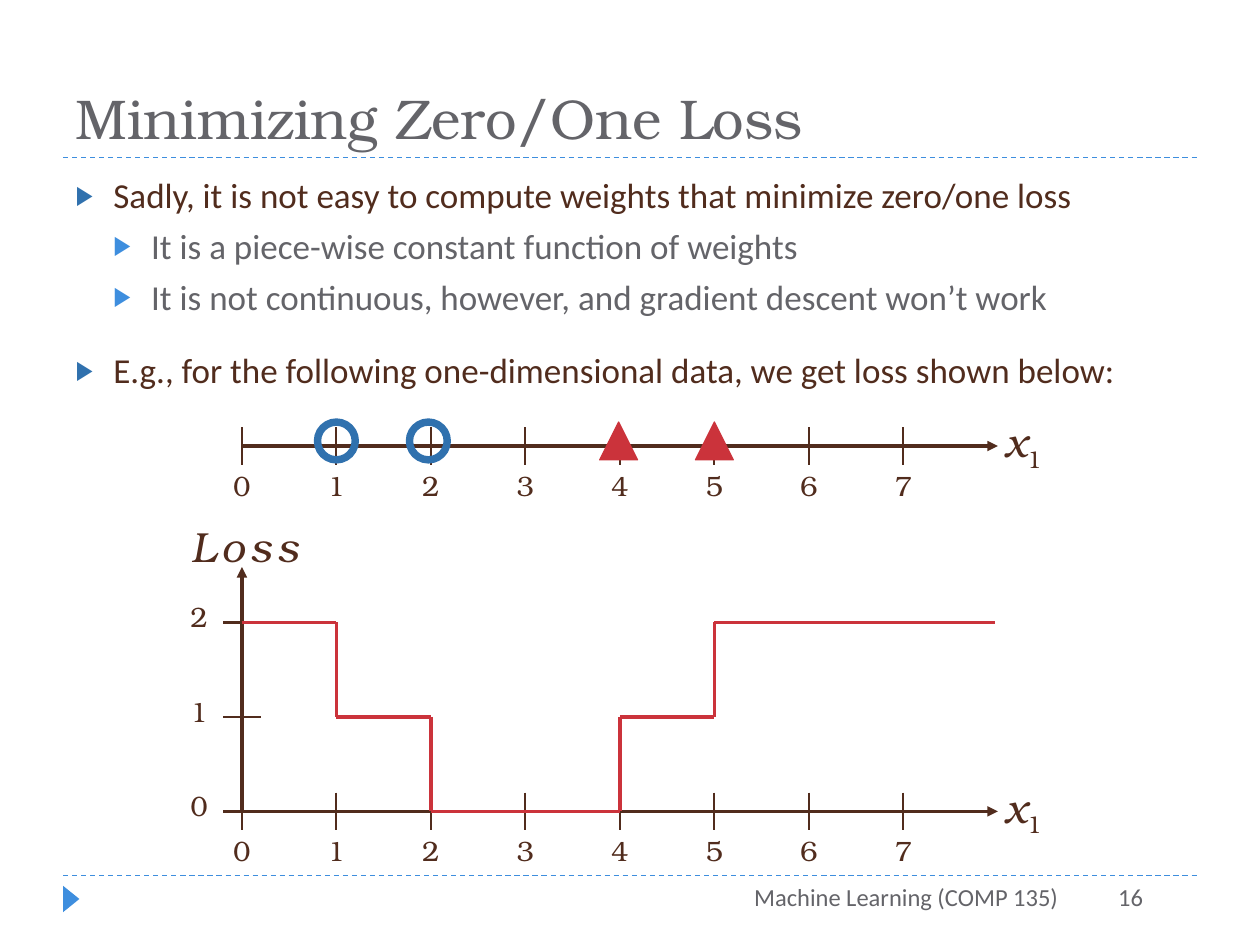
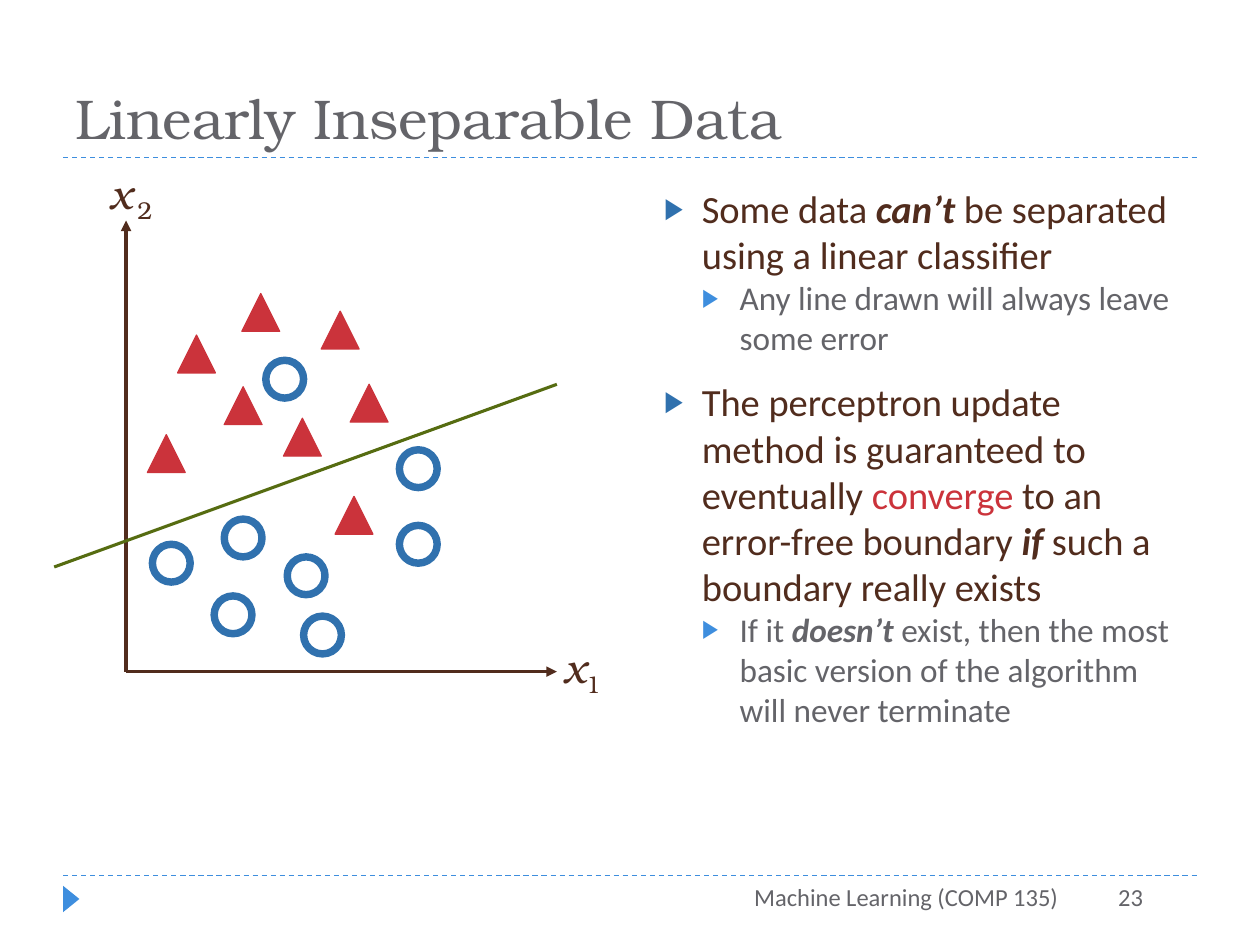
from dataclasses import dataclass

from lxml import etree
from pptx import Presentation
from pptx import util as u
from pptx.dml.color import RGBColor
from pptx.enum import dml, shapes, text
from pptx.oxml.ns import qn


@dataclass(frozen=True)
class Theme:
    ink: str = "512C1D"
    gray: str = "646469"
    blue: str = "3071AE"
    sky: str = "3E8EDE"
    red: str = "CB333B"
    green: str = "566C11"
    serif: str = "TeX Gyre Bonum"
    sans: str = "Calibri"
    title_size: int = 32
    axis_size: int = 24
    tick_size: int = 16
    footer_size: int = 14
    axis_width: float = 2
    tick_width: float = 1.25


THEME = Theme()
EMPHASIS = {"bold": True, "italic": True}
UNIT = 0.75  # inches per axis unit
ORIGIN_X = 1.92
AXIS_LENGTH = 6
TICK = 0.15  # half length of a tick
MARKER = 0.3


def color(value):
    return RGBColor.from_string(value)


def add_run(paragraph, content, *, size, font=THEME.sans, fill=THEME.ink,
            bold=False, italic=False, spacing=None, baseline=None):
    """Add formatted text; spacing is in points, baseline in percent."""
    run = paragraph.add_run()
    run.text = content
    run.font.name = font
    run.font.size = u.Pt(size)
    run.font.color.rgb = color(fill)
    run.font.bold = bold
    run.font.italic = italic
    properties = run._r.get_or_add_rPr()
    if spacing:
        properties.set("spc", str(spacing * 100))
    if baseline:
        properties.set("baseline", str(baseline * 1000))


def place(shape, left, top, width, height):
    shape.left, shape.top = u.Inches(left), u.Inches(top)
    shape.width, shape.height = u.Inches(width), u.Inches(height)


def add_text_box(slide, box, align=text.PP_ALIGN.CENTER):
    """Add an empty wrapping text box and return its paragraph."""
    frame = slide.shapes.add_textbox(*map(u.Inches, box)).text_frame
    frame.word_wrap = True
    frame.paragraphs[0].alignment = align
    return frame.paragraphs[0]


def add_line(slide, start, end, line_color, width, arrow=False, dashed=False):
    connector = slide.shapes.add_connector(
        shapes.MSO_CONNECTOR.STRAIGHT, *map(u.Inches, (*start, *end)))
    connector.line.color.rgb = color(line_color)
    connector.line.width = u.Pt(width)
    if dashed:
        connector.line.dash_style = dml.MSO_LINE.DASH
    if arrow:
        etree.SubElement(connector.line._get_or_add_ln(), qn("a:tailEnd"), type="triangle")
    etree.SubElement(connector._element.spPr, qn("a:effectLst"))


def add_triangle(slide, left, top, width=MARKER, height=MARKER, fill=THEME.red):
    triangle = slide.shapes.add_shape(
        shapes.MSO_SHAPE.ISOSCELES_TRIANGLE, *map(u.Inches, (left, top, width, height)))
    triangle.shadow.inherit = False
    triangle.fill.solid()
    triangle.fill.fore_color.rgb = color(fill)
    triangle.line.color.rgb = color(fill)
    triangle.line.width = u.Pt(0.75)
    return triangle


def add_ring(slide, left, top):
    ring = slide.shapes.add_shape(
        shapes.MSO_SHAPE.OVAL, *map(u.Inches, (left, top, MARKER, MARKER)))
    ring.shadow.inherit = False
    ring.fill.background()
    ring.line.color.rgb = color(THEME.blue)
    ring.line.width = u.Pt(4.25)


def add_variable(slide, left, top, index, spacing=None):
    """Label an axis with x and a subscript index."""
    paragraph = add_text_box(slide, (left, top, 0.58, 0.5))
    add_run(paragraph, "x", size=THEME.axis_size, font=THEME.serif, italic=True, spacing=spacing)
    add_run(paragraph, index, size=THEME.axis_size, font=THEME.serif, baseline=-25)


def add_tick_label(slide, left, top, value):
    paragraph = add_text_box(slide, (left, top, 0.66, 0.37))
    add_run(paragraph, str(value), size=THEME.tick_size, font=THEME.serif)


def add_number_line(slide, y):
    """Draw the x axis with ticks 0 to 7 at height y."""
    add_line(slide, (ORIGIN_X, y), (ORIGIN_X + AXIS_LENGTH, y), THEME.ink,
             THEME.axis_width, arrow=True)
    add_variable(slide, 7.83, y - 0.29, "1")
    for value in range(8):
        x = ORIGIN_X + value * UNIT
        add_line(slide, (x, y - TICK), (x, y + TICK), THEME.ink, THEME.tick_width)
        add_tick_label(slide, x - 0.33, y + 0.13, value)


def add_loss_plot(slide, base):
    """Draw the step function of the loss above an x axis at height base."""
    paragraph = add_text_box(slide, (1.03, 4.08, 1.84, 0.5))
    add_run(paragraph, "Loss", size=THEME.axis_size, font=THEME.serif, italic=True, spacing=3)
    add_number_line(slide, base)
    add_line(slide, (ORIGIN_X, base), (ORIGIN_X, 4.5), THEME.ink, THEME.axis_width, arrow=True)
    for value in range(3):
        y = base - value * UNIT
        add_line(slide, (ORIGIN_X + TICK, y), (ORIGIN_X - TICK, y), THEME.ink, THEME.tick_width)
        add_tick_label(slide, 1.25, y - 0.23, value)

    steps = [(0, 2), (1, 2), (1, 1), (2, 1), (2, 0), (4, 0), (4, 1), (5, 1), (5, 2), (7.97, 2)]
    corners = [(ORIGIN_X + x * UNIT, base - loss * UNIT) for x, loss in steps]
    for start, end in zip(corners, corners[1:]):
        add_line(slide, start, end, THEME.red, THEME.axis_width)


def format_bullet(paragraph, level, before, after):
    paragraph.level = level
    paragraph.space_before = u.Pt(before)
    paragraph.space_after = u.Pt(after)
    properties = paragraph._p.get_or_add_pPr()
    properties.set("marL", str(u.Inches(0.3 * (level + 1))))
    properties.set("indent", str(u.Inches(-0.3)))
    bullet_color = etree.SubElement(properties, qn("a:buClr"))
    etree.SubElement(bullet_color, qn("a:srgbClr"), val=(THEME.blue, THEME.sky)[level])
    etree.SubElement(properties, qn("a:buSzPct"), val="76000")
    etree.SubElement(properties, qn("a:buChar"), char="▶")


def fill_body(slide, box, items, sizes, before):
    """Fill the list; items hold level, space after and (text, format) runs.

    Sizes and space before are given per level.
    """
    body = slide.placeholders[1]
    place(body, *box)
    frame = body.text_frame
    frame.auto_size = text.MSO_AUTO_SIZE.NONE
    for number, (level, after, runs) in enumerate(items):
        paragraph = frame.add_paragraph() if number else frame.paragraphs[0]
        format_bullet(paragraph, level, before[level], after)
        for content, style in runs:
            base = {"size": sizes[level], "fill": (THEME.ink, THEME.gray)[level]}
            add_run(paragraph, content, **{**base, **style})


def add_slide(presentation, title, number):
    """Add a slide with its title, rules and footer."""
    slide = presentation.slides.add_slide(presentation.slide_layouts[1])
    for y in (6.95, 1.25):
        add_line(slide, (0.5, y), (9.5, y), THEME.sky, 0.75, dashed=True)
    corner = add_triangle(slide, 0.46, 7.07, 0.21, 0.13, THEME.sky)
    corner.rotation = 90
    corner.line.fill.background()

    place(slide.shapes.title, 0.5, 0.17, 9, 1.08)
    frame = slide.shapes.title.text_frame
    frame.auto_size = text.MSO_AUTO_SIZE.NONE
    frame.vertical_anchor = text.MSO_ANCHOR.BOTTOM
    frame.paragraphs[0].alignment = text.PP_ALIGN.LEFT
    add_run(frame.paragraphs[0], title, size=THEME.title_size, font=THEME.serif, fill=THEME.gray)

    footers = [("Machine Learning (COMP 135)", 3.83, 4.67), (str(number), 8.08, 1.09)]
    for content, left, width in footers:
        paragraph = add_text_box(slide, (left, 6.95, width, 0.4), text.PP_ALIGN.RIGHT)
        add_run(paragraph, content, size=THEME.footer_size, fill=THEME.gray)
    return slide


def build_loss_slide(presentation):
    slide = add_slide(presentation, "Minimizing Zero/One Loss", 16)
    items = [
        (0, 0, [("Sadly, it is not easy to compute weights that minimize zero/one loss", {})]),
        (1, 0, [("It is a piece-wise constant function of weights", {})]),
        (1, 12, [("It is not continuous, however, and gradient descent won’t work", {})]),
        (0, 0, [("E.g., for the following one-dimensional data, we get loss shown below:", {})]),
    ]
    fill_body(slide, (0.5, 1.33, 9, 5.4), items, sizes=(20, 20), before=(6, 5))
    add_number_line(slide, 3.54)
    for left in (2.52, 3.25):
        add_ring(slide, left, 3.35)
    for left in (4.76, 5.52):
        add_triangle(slide, left, 3.35)
    add_loss_plot(slide, 6.44)


def build_inseparable_slide(presentation):
    slide = add_slide(presentation, "Linearly Inseparable Data", 23)
    items = [
        (0, 0, [("Some data ", {}), ("can’t ", EMPHASIS),
                ("be separated using a linear classifier", {})]),
        (1, 12, [("Any line drawn will always leave some error", {})]),
        (0, 0, [("The perceptron update method is guaranteed to eventually ", {}),
                ("converge", {"fill": THEME.red}), (" to an error-free boundary ", {}),
                ("if", EMPHASIS), (" such a boundary really exists", {})]),
        (1, 0, [("If it ", {}), ("doesn’t", EMPHASIS),
                (" exist, then the most basic version of the algorithm will never terminate",
                 {})]),
    ]
    fill_body(slide, (5.17, 1.42, 4.33, 5.42), items, sizes=(22, 19), before=(0, 0))

    origin = (1, 5.33)
    for end in ((1, 1.75), (4.42, 5.33)):
        add_line(slide, origin, end, THEME.ink, THEME.axis_width, arrow=True)
    add_variable(slide, 4.33, 5.04, "1")
    add_variable(slide, 0.75, 1.28, "2", spacing=3)
    add_line(slide, (0.43, 4.5), (4.42, 3.05), THEME.green, 1.75)

    rings = [(3.17, 3.57), (1.7, 4.73), (1.21, 4.32), (2.28, 4.42),
             (2.41, 4.89), (1.78, 4.12), (3.17, 4.17), (2.11, 2.86)]
    triangles = [(1.17, 3.45), (1.41, 2.66), (1.92, 2.33), (2.25, 3.32),
                 (1.78, 3.07), (2.55, 2.47), (2.78, 3.05), (2.66, 3.94)]
    for position in rings:
        add_ring(slide, *position)
    for position in triangles:
        add_triangle(slide, *position)


def main():
    presentation = Presentation()
    presentation.slide_width = u.Inches(10)
    presentation.slide_height = u.Inches(7.5)
    build_loss_slide(presentation)
    build_inseparable_slide(presentation)
    presentation.save("out.pptx")


if __name__ == "__main__":
    main()
